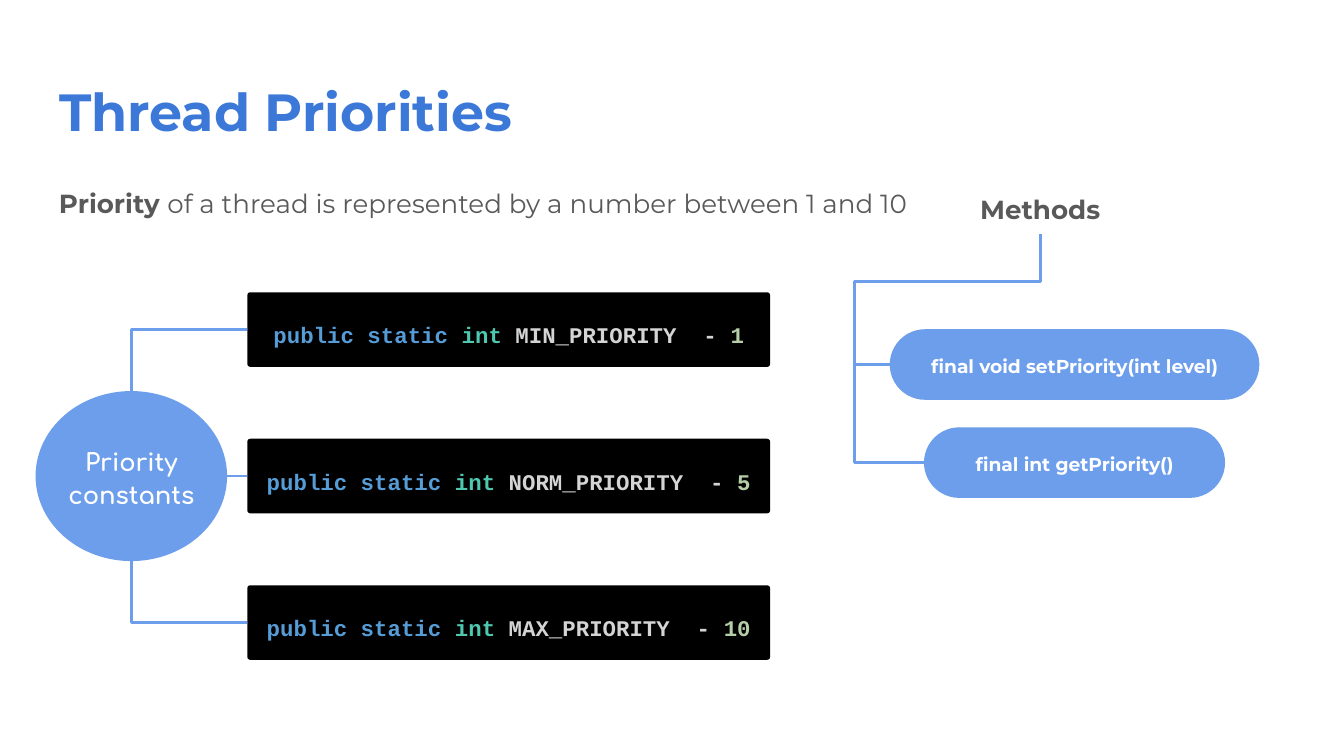
from lxml.etree import SubElement
from pptx import Presentation
from pptx.dml.color import RGBColor
from pptx.enum.shapes import MSO_CONNECTOR as Connector, MSO_SHAPE as Shape
from pptx.enum.text import MSO_ANCHOR as Anchor, MSO_AUTO_SIZE as AutoSize, PP_ALIGN as Align
from pptx.oxml.ns import qn
from pptx.util import Pt

PX = 4572  # EMU per px, 200 px to the inch
BLUE, GREY, WHITE, BLACK = "6D9EEB", "595959", "FFFFFF", "000000"
SANS, ROUND, MONO = "Montserrat", "Comfortaa", "Courier New"

TITLE = "Thread Priorities"
INTRO = [("Priority ", GREY, True),
         ("of a thread is represented by a number between 1 and 10", GREY, False)]
HUB_LINES = ["Priority", "constants"]
CONSTANTS = [("MIN_PRIORITY", "1"), ("NORM_PRIORITY", "5"), ("MAX_PRIORITY", "10")]
METHODS_HEADING = "Methods"
METHODS = [("final void setPriority(int level)", 550), ("final int getPriority()", 448)]

# Boxes are left, top, width, height in px
SLIDE_SIZE = (2000, 1125)
TITLE_BOX = (68, 98, 1864, 126)
INTRO_BOX = (68, 252, 1308, 106)
HUB_BOX = (53, 582, 285, 253)
HEADING_BOX = (1432, 261, 232, 87)
CODE_LEFT, CODE_TOP, CODE_W, CODE_H, CODE_STEP = 368, 435, 778, 111, 218
METHOD_CENTER, METHOD_TOP, METHOD_H, METHOD_STEP = 1599, 490, 105, 146
BRANCH_X, BRANCH_Y = 1272, 419


def emu(lengths):
    return [round(length * PX) for length in lengths]


def rgb(color):
    return RGBColor.from_string(color)


def write(shape, paragraphs, font, size, align=Align.CENTER, anchor=Anchor.MIDDLE,
          spacing=1.15, inset=20):
    """Fill a shape with paragraphs, each a list of (text, color, bold) runs."""
    frame = shape.text_frame
    frame.word_wrap = True
    frame.auto_size = AutoSize.NONE
    frame.vertical_anchor = anchor
    frame.margin_left = frame.margin_top = frame.margin_right = frame.margin_bottom = inset * PX
    for i, runs in enumerate(paragraphs):
        paragraph = frame.add_paragraph() if i else frame.paragraphs[0]
        paragraph.alignment = align
        paragraph.line_spacing = spacing
        for text, color, bold in runs:
            run = paragraph.add_run()
            run.text = text
            run.font.name = font
            run.font.size = Pt(size)
            run.font.bold = bold
            run.font.color.rgb = rgb(color)


def add_block(shapes, preset, box, fill, corner=None):
    block = shapes.add_shape(preset, *emu(box))
    block.shadow.inherit = False
    block.fill.solid()
    block.fill.fore_color.rgb = rgb(fill)
    block.line.fill.background()
    if corner is not None:
        block.adjustments[0] = corner
    return block


def add_link(shapes, start, end, preset="line", bends=()):
    """Draw a connector; bends are its adjustments as fractions of its box."""
    kind = Connector.STRAIGHT if preset == "line" else Connector.ELBOW
    link = shapes.add_connector(kind, *emu(start + end))
    link.line.color.rgb = rgb(BLUE)
    link.line.width = Pt(1.5)
    properties = link._element.spPr
    SubElement(properties, qn("a:effectLst"))
    geometry = properties.find(qn("a:prstGeom"))
    geometry.set("prst", preset)
    for number, bend in enumerate(bends, 1):
        SubElement(geometry.find(qn("a:avLst")), qn("a:gd"),
                   name=f"adj{number}", fmla=f"val {round(bend * 100000)}")


def add_heading(slide):
    title = slide.shapes.title
    title.left, title.top, title.width, title.height = emu(TITLE_BOX)
    write(title, [[(TITLE, "3C78D8", True)]], SANS, 28, Align.LEFT, Anchor.TOP, 1.0)
    intro = slide.shapes.add_textbox(*emu(INTRO_BOX))
    write(intro, [INTRO], SANS, 14, Align.LEFT, Anchor.TOP)


def add_constants(shapes):
    left, top, width, height = HUB_BOX
    center = left + width / 2
    hub = add_block(shapes, Shape.OVAL, HUB_BOX, BLUE)
    write(hub, [[(line, WHITE, True)] for line in HUB_LINES], ROUND, 13, inset=0)

    hub_ends = [(center, top), (left + width, top + height / 2), (center, top + height)]
    presets = ["bentConnector2", "line", "bentConnector2"]
    for i, (constant, value) in enumerate(CONSTANTS):
        code_top = CODE_TOP + i * CODE_STEP
        code = add_block(shapes, Shape.ROUNDED_RECTANGLE,
                         (CODE_LEFT, code_top, CODE_W, CODE_H), BLACK, 0.04)
        runs = [("public static ", "569CD6", True), ("int", "4EC9B0", True),
                (f" {constant}  - ", "D4D4D4", True), (value, "B5CEA8", True)]
        write(code, [runs], MONO, 12, spacing=1.38)
        add_link(shapes, (CODE_LEFT, code_top + CODE_H / 2), hub_ends[i], presets[i])


def add_methods(shapes):
    left, top, width, height = HEADING_BOX
    heading = shapes.add_textbox(*emu(HEADING_BOX))
    write(heading, [[(METHODS_HEADING, GREY, True)]], SANS, 14, anchor=Anchor.TOP)

    method_ends = []
    for i, (signature, method_w) in enumerate(METHODS):
        method_left, method_top = METHOD_CENTER - method_w / 2, METHOD_TOP + i * METHOD_STEP
        method = add_block(shapes, Shape.ROUNDED_RECTANGLE,
                           (method_left, method_top, method_w, METHOD_H), BLUE, 0.5)
        write(method, [[(signature, WHITE, True)]], SANS, 10)
        method_ends.append((method_left, method_top + METHOD_H / 2))

    setter, getter = method_ends
    root = (left + width / 2, top + height)
    out = BRANCH_X - setter[0]
    add_link(shapes, setter, root, "bentConnector4",
             [out / (root[0] - setter[0]), (BRANCH_Y - setter[1]) / (root[1] - setter[1])])
    add_link(shapes, setter, getter, "bentConnector3", [out / (getter[0] - setter[0])])


def main():
    deck = Presentation()
    deck.slide_width, deck.slide_height = emu(SLIDE_SIZE)
    slide = deck.slides.add_slide(deck.slide_layouts[5])
    add_heading(slide)
    add_constants(slide.shapes)
    add_methods(slide.shapes)
    deck.save("out.pptx")


if __name__ == "__main__":
    main()
